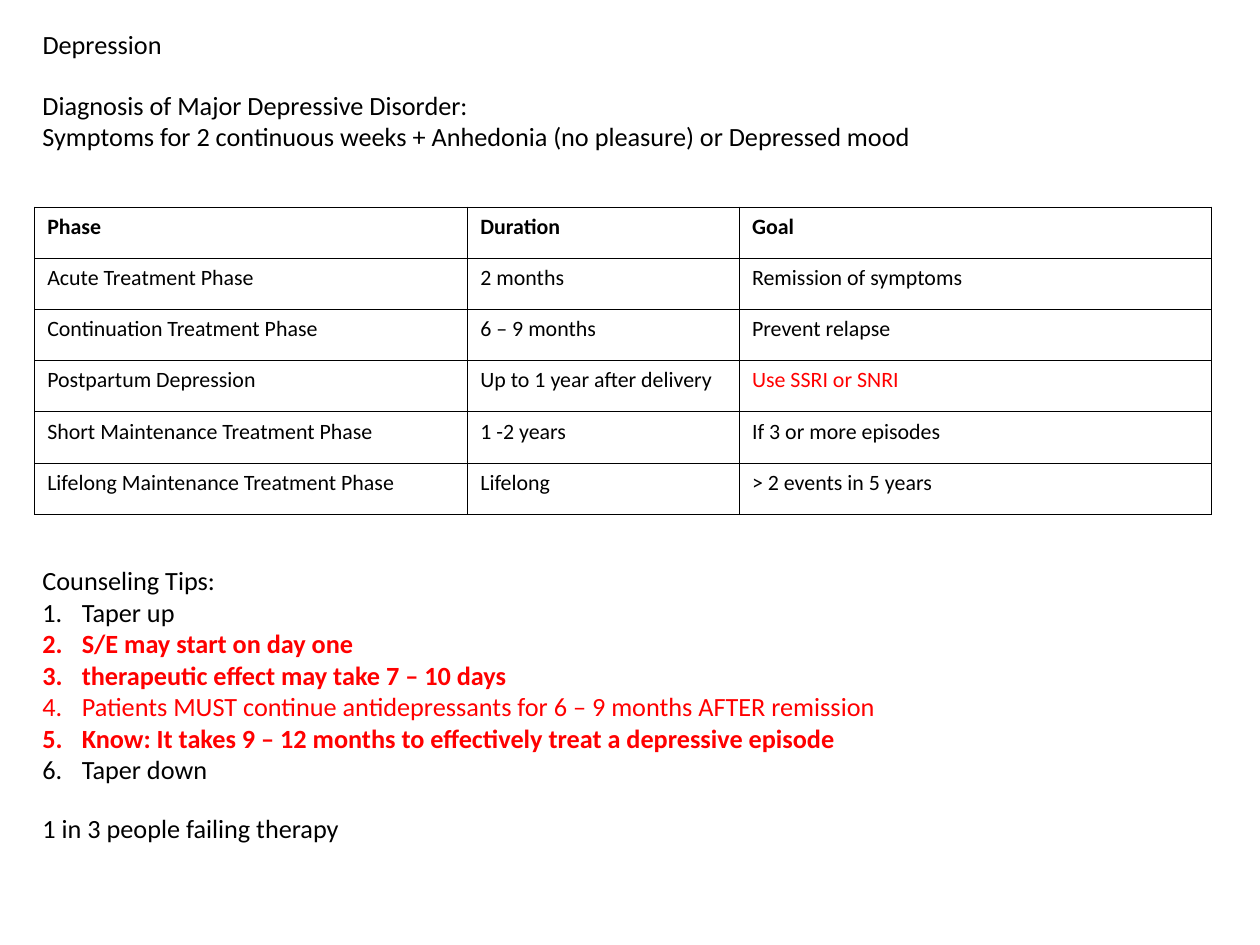
from lxml.etree import SubElement
from pptx import Presentation
from pptx.dml.color import RGBColor
from pptx.enum.text import MSO_ANCHOR, MSO_AUTO_SIZE, PP_ALIGN
from pptx.oxml.ns import qn
from pptx.util import Inches, Pt

BLACK = RGBColor(0, 0, 0)
RED = RGBColor(255, 0, 0)
FONT = "Calibri"
LEFT = 0.44
CONTENT_WIDTH = 14.93

COLUMN_WIDTHS = [5.5, 3.45, 5.99]
ROW_HEIGHT = 0.65
PHASES = [
    ("Phase", "Duration", "Goal"),
    ("Acute Treatment Phase", "2 months", "Remission of symptoms"),
    ("Continuation Treatment Phase", "6 – 9 months", "Prevent relapse"),
    ("Postpartum Depression", "Up to 1 year after delivery", "Use SSRI or SNRI"),
    ("Short Maintenance Treatment Phase", "1 -2 years", "If 3 or more episodes"),
    ("Lifelong Maintenance Treatment Phase", "Lifelong", "> 2 events in 5 years"),
]
RED_GOALS = {"Use SSRI or SNRI"}

DIAGNOSIS = [
    "Diagnosis of Major Depressive Disorder:",
    "Symptoms for 2 continuous weeks + Anhedonia (no pleasure) or Depressed mood",
]
TIPS = [
    ("Taper up", BLACK, False),
    ("S/E may start on day one", RED, True),
    ("therapeutic effect may take 7 – 10 days", RED, True),
    ("Patients MUST continue antidepressants for 6 – 9 months AFTER remission", RED, False),
    ("Know: It takes 9 – 12 months to effectively treat a depressive episode", RED, True),
    ("Taper down", BLACK, False),
]


def write(para, text, size=24, color=BLACK, bold=False, numbered=False):
    para.alignment = PP_ALIGN.LEFT
    if numbered:
        properties = para._p.get_or_add_pPr()
        properties.set("marL", str(Inches(0.5)))
        properties.set("indent", str(-Inches(0.5)))
        SubElement(properties, qn("a:buAutoNum"), type="arabicPeriod")
    span = para.add_run()
    span.text = text
    span.font.name = FONT
    span.font.size = Pt(size)
    span.font.bold = bold
    span.font.color.rgb = color


def add_text_box(page, left, top, width, height, wrap=True):
    box = page.shapes.add_textbox(Inches(left), Inches(top), Inches(width), Inches(height))
    box.text_frame.word_wrap = wrap
    box.text_frame.auto_size = MSO_AUTO_SIZE.SHAPE_TO_FIT_TEXT
    return box.text_frame


def place_title(page, left, top, width, height):
    title = page.shapes.title
    title.left, title.top = Inches(left), Inches(top)
    title.width, title.height = Inches(width), Inches(height)
    frame = title.text_frame
    frame.word_wrap = False
    frame.auto_size = MSO_AUTO_SIZE.SHAPE_TO_FIT_TEXT
    frame.vertical_anchor = MSO_ANCHOR.TOP
    write(frame.paragraphs[0], "Depression")


def add_diagnosis(page, left, top, width, height):
    frame = add_text_box(page, left, top, width, height)
    write(frame.paragraphs[0], DIAGNOSIS[0])
    write(frame.add_paragraph(), DIAGNOSIS[1])


def add_borders(cell):
    properties = cell._tc.get_or_add_tcPr()
    for side in ("lnL", "lnR", "lnT", "lnB"):
        line = SubElement(properties, qn(f"a:{side}"), w=str(Pt(1)))
        fill = SubElement(line, qn("a:solidFill"))
        SubElement(fill, qn("a:srgbClr"), val=str(BLACK))


def format_cell(cell, text, bold):
    cell.margin_left = cell.margin_right = Inches(0.16)
    cell.margin_top = cell.margin_bottom = Inches(0.08)
    add_borders(cell)
    cell.fill.background()
    color = RED if text in RED_GOALS else BLACK
    write(cell.text_frame.paragraphs[0], text, size=20, color=color, bold=bold)


def add_phase_table(page, left, top, width, height):
    frame = page.shapes.add_table(
        len(PHASES), len(COLUMN_WIDTHS),
        Inches(left), Inches(top), Inches(width), Inches(height))
    table = frame.table
    table.horz_banding = False
    for column, column_width in zip(table.columns, COLUMN_WIDTHS):
        column.width = Inches(column_width)
    for row_index, (row, texts) in enumerate(zip(table.rows, PHASES)):
        row.height = Inches(ROW_HEIGHT)
        for cell, text in zip(row.cells, texts):
            format_cell(cell, text, bold=row_index == 0)


def add_counseling_tips(page, left, top, width, height):
    frame = add_text_box(page, left, top, width, height)
    write(frame.paragraphs[0], "Counseling Tips:")
    for text, color, bold in TIPS:
        write(frame.add_paragraph(), text, color=color, bold=bold, numbered=True)


def add_closing_note(page, left, top, width, height):
    frame = add_text_box(page, left, top, width, height, wrap=False)
    write(frame.paragraphs[0], "1 in 3 people failing therapy")


def main():
    deck = Presentation()
    deck.slide_width, deck.slide_height = Inches(16), Inches(12)
    page = deck.slides.add_slide(deck.slide_layouts.get_by_name("Title Only"))
    place_title(page, LEFT, 0.31, 1.73, 0.5)
    add_phase_table(page, LEFT, 2.63, sum(COLUMN_WIDTHS), ROW_HEIGHT * len(PHASES))
    add_counseling_tips(page, LEFT, 7.12, 13.11, 2.93)
    add_diagnosis(page, LEFT, 1.08, CONTENT_WIDTH, 0.91)
    add_closing_note(page, LEFT, 10.27, 4.11, 0.5)
    deck.save("out.pptx")


if __name__ == "__main__":
    main()
